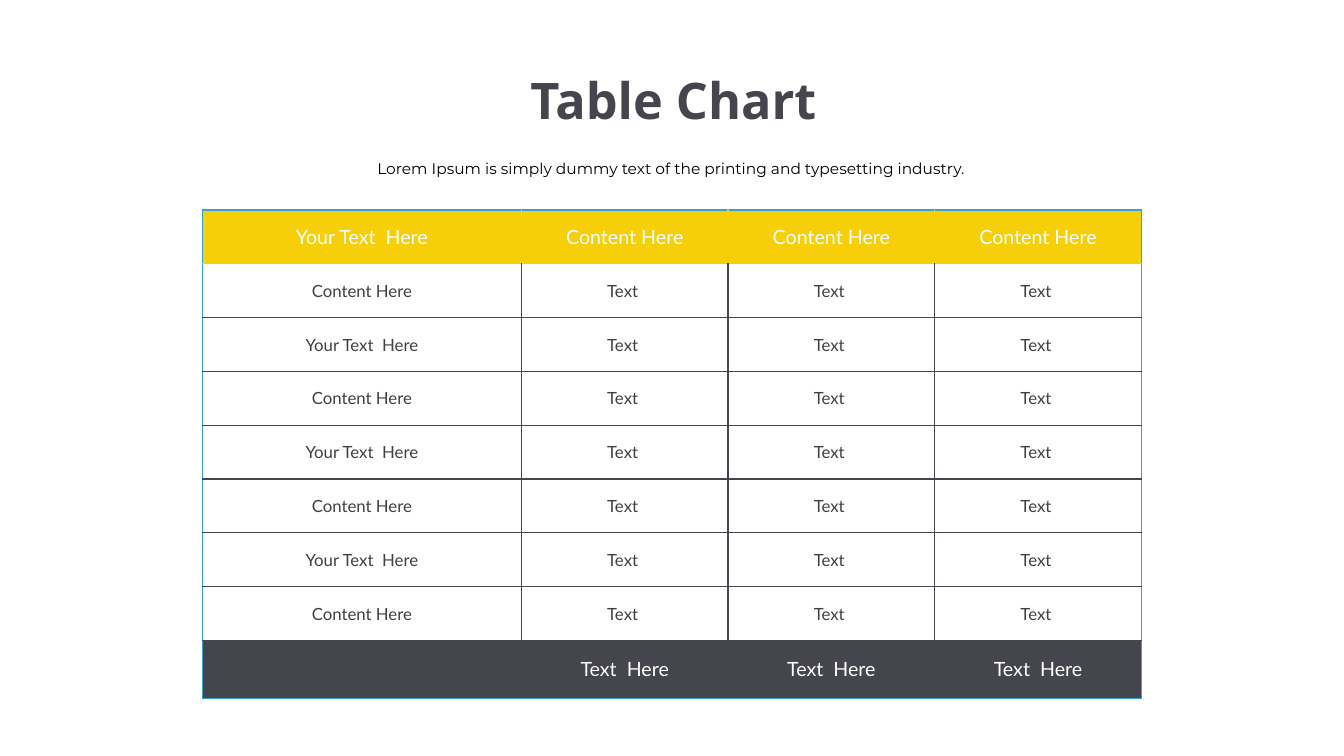
from dataclasses import dataclass

from lxml import etree
from pptx import Presentation
from pptx.dml.color import RGBColor
from pptx.enum import text as txt
from pptx.oxml import ns
from pptx.util import Pt

COLORS = {
    "yellow": "F6CF08",
    "dark": "45454D",
    "blue": "37A1C9",
    "grey": "404040",
    "white": "FFFFFF",
    "black": "000000",
}


@dataclass
class Style:
    font: str
    size: float
    color: str
    bold: bool = False


@dataclass
class Label:
    words: str
    left: float
    top: float
    width: float
    height: float
    style: Style
    spacing: float = 1.0


@dataclass
class Band:
    """One table row: its words, look and inner line colour."""
    words: list[str]
    height: float
    style: Style
    fill: str = ""
    line: str = "dark"


BODY = Style("Lato", 12, "grey")
BIG = Style("Lato", 14, "white")

LABELS = [
    Label("Lorem Ipsum is simply dummy text of the printing and typesetting industry. ",
          240.5, 103, 481, 27.4, Style("Montserrat", 11, "black"), 1.5),
    Label("Table Chart", 204.5, 45.4, 553, 51.1,
          Style("Open Sans", 36, "dark", True)),
]

LEFT, TOP = 144.6, 150
COLS = [227.9] + [147.6] * 3
HEIGHT = 38.45
NAMES = ["Content Here", "Your Text  Here"]
BANDS = [
    Band(["Your Text  Here"] + ["Content Here"] * 3, HEIGHT, BIG, "yellow", "yellow"),
    *[Band([NAMES[i % 2]] + ["Text "] * 3, HEIGHT, BODY) for i in range(7)],
    Band([""] + ["Text  Here"] * 3, 41.2, BIG, "dark"),
]


def rgb(name: str) -> RGBColor:
    return RGBColor.from_string(COLORS[name])


def write(frame, words: str, style: Style, spacing: float = 1.0) -> None:
    frame.text = words
    para = frame.paragraphs[0]
    para.alignment = txt.PP_ALIGN.CENTER
    para.line_spacing = spacing
    for run in para.runs:
        font = run.font
        font.name, font.size, font.bold = style.font, Pt(style.size), style.bold
        font.color.rgb = rgb(style.color)


def add_label(slide, label: Label) -> None:
    box = slide.shapes.add_textbox(
        Pt(label.left), Pt(label.top), Pt(label.width), Pt(label.height))
    frame = box.text_frame
    frame.word_wrap = True
    frame.vertical_anchor = txt.MSO_ANCHOR.MIDDLE
    write(frame, label.words, label.style, label.spacing)
    frame.auto_size = txt.MSO_AUTO_SIZE.SHAPE_TO_FIT_TEXT


def add_edge(cell, side: str, color: str) -> None:
    props = cell._tc.get_or_add_tcPr()
    line = etree.SubElement(props, ns.qn(f"a:ln{side}"), w=str(Pt(1)))
    fill = etree.SubElement(line, ns.qn("a:solidFill"))
    etree.SubElement(fill, ns.qn("a:srgbClr"), val=COLORS[color])


def add_grid(slide) -> None:
    high = sum(band.height for band in BANDS)
    table = slide.shapes.add_table(
        len(BANDS), len(COLS), Pt(LEFT), Pt(TOP), Pt(sum(COLS)), Pt(high)).table
    table.first_row = table.horz_banding = False
    for col, width in zip(table.columns, COLS):
        col.width = Pt(width)
    last_row, last_col = len(BANDS) - 1, len(COLS) - 1
    for r, band in enumerate(BANDS):
        table.rows[r].height = Pt(band.height)
        above = BANDS[r - 1].line if r else "blue"
        for c, words in enumerate(band.words):
            cell = table.cell(r, c)
            cell.vertical_anchor = txt.MSO_ANCHOR.MIDDLE
            write(cell.text_frame, words, band.style)
            add_edge(cell, "L", band.line if c else "blue")
            add_edge(cell, "R", band.line if c < last_col else "blue")
            add_edge(cell, "T", above)
            add_edge(cell, "B", band.line if r < last_row else "blue")
            if band.fill:
                cell.fill.solid()
                cell.fill.fore_color.rgb = rgb(band.fill)
            else:
                cell.fill.background()


def main() -> None:
    deck = Presentation()
    deck.slide_width, deck.slide_height = Pt(960), Pt(540)
    slide = deck.slides.add_slide(deck.slide_layouts[6])
    add_grid(slide)
    for label in LABELS:
        add_label(slide, label)
    deck.save("out.pptx")


if __name__ == "__main__":
    main()
